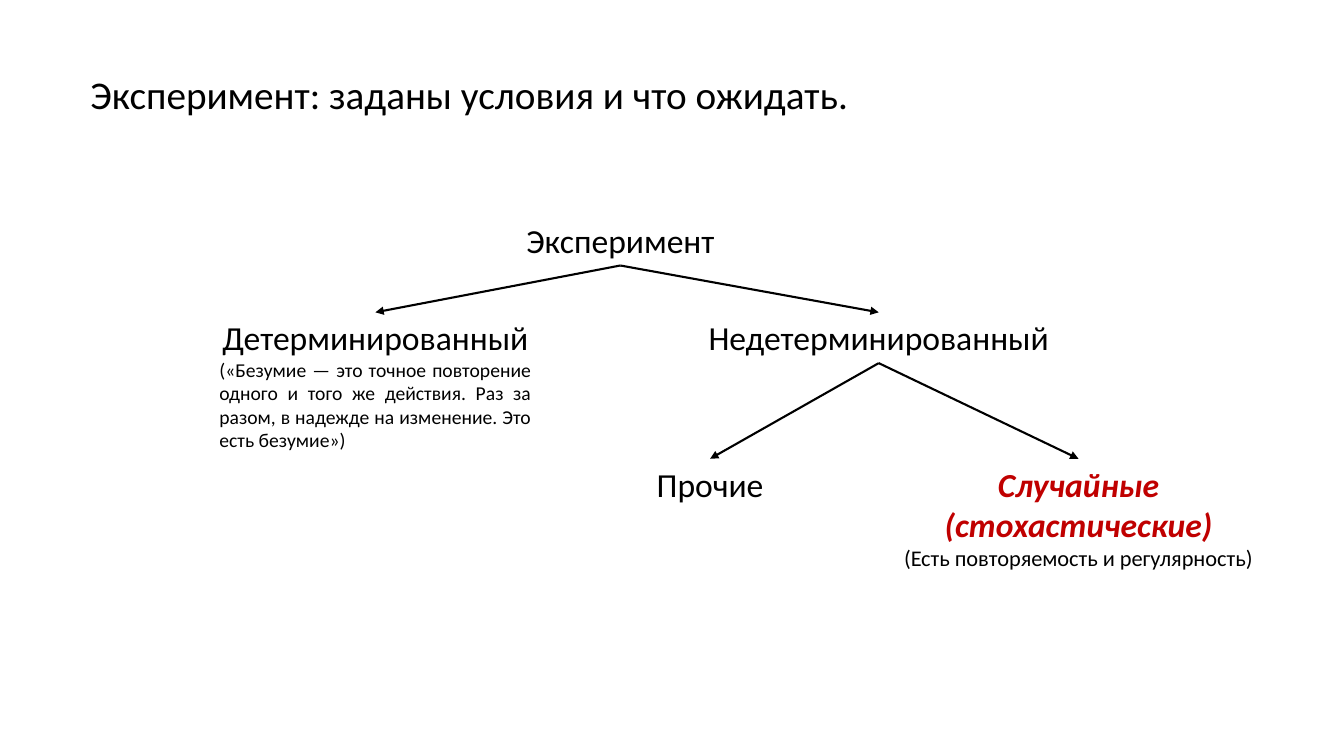
"""Build a slide that classifies experiments as a tree."""
from dataclasses import dataclass

from lxml import etree
from pptx import Presentation
from pptx.dml.color import RGBColor
from pptx.enum.shapes import MSO_CONNECTOR
from pptx.enum.text import MSO_ANCHOR, MSO_AUTO_SIZE, PP_ALIGN
from pptx.oxml.ns import qn
from pptx.shapes.autoshape import Shape
from pptx.slide import Slide
from pptx.text.text import TextFrame
from pptx.util import Cm, Pt

STRAIGHT = MSO_CONNECTOR.STRAIGHT
TOP, MIDDLE = MSO_ANCHOR.TOP, MSO_ANCHOR.MIDDLE
GROW, FIXED = MSO_AUTO_SIZE.SHAPE_TO_FIT_TEXT, MSO_AUTO_SIZE.NONE
LEFT, CENTER, JUSTIFY = PP_ALIGN.LEFT, PP_ALIGN.CENTER, PP_ALIGN.JUSTIFY
TOP_SIDE, BOTTOM_SIDE = 0, 2
FONT = "Calibri"
COLORS = {"text": "000000", "accent": "C00000", "line": "000000"}
LEVELS = (5.41, 7.87, 11.56)
LINE_HEIGHT = 1.28


@dataclass(frozen=True)
class Line:
    text: str
    size: int = 24
    color: str = "text"
    emphasis: bool = False
    align: PP_ALIGN = CENTER


@dataclass(frozen=True)
class Node:
    name: str
    left: float
    level: int
    width: float
    lines: tuple[Line, ...]
    height: float = LINE_HEIGHT
    wrap: bool = False


NODES = (
    Node("experiment", 12.98, 0, 5.31, (Line("Эксперимент"),)),
    Node("deterministic", 5.28, 1, 8.36, (
        Line("Детерминированный"),
        Line("(«Безумие — это точное повторение одного и того же действия. "
             "Раз за разом, в надежде на изменение. Это есть безумие»)",
             size=14, align=JUSTIFY),
    ), height=3.68, wrap=True),
    Node("nondeterministic", 17.55, 1, 9.19, (Line("Недетерминированный"),)),
    Node("other", 16.28, 2, 3.23, (Line("Прочие"),)),
    Node("random", 22.15, 2, 10.06, (
        Line("Случайные", color="accent", emphasis=True),
        Line("(стохастические)", color="accent", emphasis=True),
        Line("(Есть повторяемость и регулярность)", size=16),
    ), height=3.0, wrap=True),
)
BRANCHES = (
    ("experiment", "deterministic"),
    ("experiment", "nondeterministic"),
    ("nondeterministic", "other"),
    ("nondeterministic", "random"),
)


def write_paragraph(frame: TextFrame, text: str, *, first: bool, size: int,
                    color: str, emphasis: bool = False,
                    align: PP_ALIGN = LEFT, spacing: float = 1.0) -> None:
    paragraph = frame.paragraphs[0] if first else frame.add_paragraph()
    paragraph.alignment = align
    paragraph.line_spacing = spacing
    run = paragraph.add_run()
    run.text = text
    run.font.name = FONT
    run.font.size = Pt(size)
    run.font.bold = emphasis
    run.font.italic = emphasis
    run.font.color.rgb = RGBColor.from_string(COLORS[color])


def add_text_box(slide: Slide, left: float, top: float, width: float,
                 height: float, *, wrap: bool = True,
                 auto_size: MSO_AUTO_SIZE = GROW,
                 anchor: MSO_ANCHOR = TOP) -> Shape:
    shape = slide.shapes.add_textbox(Cm(left), Cm(top), Cm(width), Cm(height))
    frame = shape.text_frame
    frame.word_wrap = wrap
    frame.auto_size = auto_size
    frame.vertical_anchor = anchor
    return shape


def add_node(slide: Slide, node: Node) -> Shape:
    shape = add_text_box(slide, node.left, LEVELS[node.level], node.width,
                         node.height, wrap=node.wrap)
    for index, line in enumerate(node.lines):
        write_paragraph(shape.text_frame, line.text, first=index == 0,
                        size=line.size, color=line.color,
                        emphasis=line.emphasis, align=line.align)
    return shape


def add_branch(slide: Slide, parent: Shape, child: Shape) -> None:
    connector = slide.shapes.add_connector(STRAIGHT, 0, 0, 0, 0)
    connector.begin_connect(parent, BOTTOM_SIDE)
    connector.end_connect(child, TOP_SIDE)
    connector.line.width = Pt(1.5)
    connector.line.color.rgb = RGBColor.from_string(COLORS["line"])
    outline = connector.line._get_or_add_ln()
    etree.SubElement(outline, qn("a:tailEnd"), type="triangle")
    etree.SubElement(connector._element.spPr, qn("a:effectLst"))


def main() -> None:
    presentation = Presentation()
    presentation.slide_width, presentation.slide_height = Cm(33.87), Cm(19.05)
    slide = presentation.slides.add_slide(presentation.slide_layouts[6])
    heading = add_text_box(slide, 2.03, 1.78, 29.21, 1.47, auto_size=FIXED)
    write_paragraph(heading.text_frame,
                    "Эксперимент: заданы условия и что ожидать.",
                    first=True, size=28, color="text", spacing=0.9)
    shapes = {node.name: add_node(slide, node) for node in NODES}
    for parent, child in BRANCHES:
        add_branch(slide, shapes[parent], shapes[child])
    presentation.save("out.pptx")


if __name__ == "__main__":
    main()
